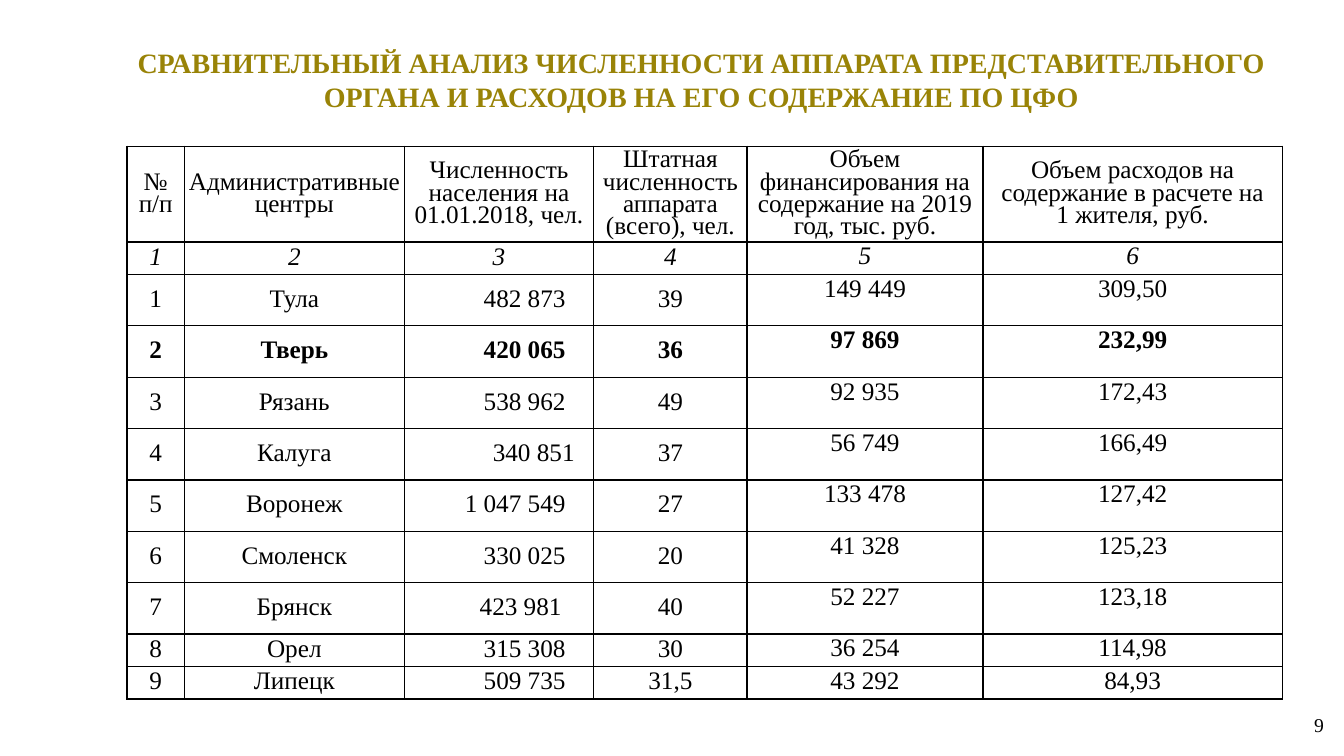
from lxml import etree
from pptx import Presentation
from pptx.dml.color import RGBColor
from pptx.enum.text import MSO_ANCHOR, PP_ALIGN
from pptx.oxml.ns import qn
from pptx.util import Inches, Pt

CENTER, RIGHT = PP_ALIGN.CENTER, PP_ALIGN.RIGHT
TOP, MIDDLE = MSO_ANCHOR.TOP, MSO_ANCHOR.MIDDLE
FONT = "Times New Roman"
COLORS = {"title": "998307", "text": "000000", "border": "000000"}

TITLE = ("СРАВНИТЕЛЬНЫЙ АНАЛИЗ ЧИСЛЕННОСТИ АППАРАТА ПРЕДСТАВИТЕЛЬНОГО "
         "ОРГАНА И РАСХОДОВ НА ЕГО СОДЕРЖАНИЕ ПО ЦФО")
HEADERS = [
    "№ п/п",
    "Административные центры",
    "Численность населения на 01.01.2018, чел.",
    "Штатная численность аппарата\n(всего), чел.",
    "Объем финансирования на содержание на 2019 год, тыс. руб.",
    "Объем расходов на содержание в расчете на\n1 жителя, руб.",
]
CITIES = [
    ("Тула", "482 873", "39", "149 449", "309,50"),
    ("Тверь", "420 065", "36", "97 869", "232,99"),
    ("Рязань", "538 962", "49", "92 935", "172,43"),
    ("Калуга", "340 851", "37", "56 749", "166,49"),
    ("Воронеж", "1 047 549", "27", "133 478", "127,42"),
    ("Смоленск", "330 025", "20", "41 328", "125,23"),
    ("Брянск", "423 981", "40", "52 227", "123,18"),
    ("Орел", "315 308", "30", "36 254", "114,98"),
    ("Липецк", "509 735", "31,5", "43 292", "84,93"),
]
HIGHLIGHTED_CITY = "Тверь"
COL_WIDTHS = [0.57, 2.18, 1.88, 1.52, 2.34, 2.97]
ROW_HEIGHTS = [0.95, 0.32] + [0.51] * 7 + [0.32] * 2
POPULATION_COL, FIRST_MONEY_COL = 2, 4
POPULATION_INDENT = 0.28
SPECIAL_INDENTS = {"Калуга": 0.19, "Брянск": 0.32}


def style_paragraph(p, size, color, align, bold=False, italic=False):
    p.alignment = align
    f = p.font
    f.name, f.size, f.bold, f.italic = FONT, Pt(size), bold, italic
    f.color.rgb = RGBColor.from_string(COLORS[color])


def set_borders(cell):
    tc_pr = cell._tc.get_or_add_tcPr()
    for side in ("a:lnL", "a:lnR", "a:lnT", "a:lnB"):
        ln = etree.SubElement(tc_pr, qn(side), w=str(Pt(1)))
        fill = etree.SubElement(ln, qn("a:solidFill"))
        etree.SubElement(fill, qn("a:srgbClr"), val=COLORS["border"])


def fill_cell(cell, text, align=CENTER, right=0.01, roomy=False, **emphasis):
    """Write one cell; a roomy cell has wide margins and text at its top."""
    set_borders(cell)
    cell.fill.background()
    cell.vertical_anchor = TOP if roomy else MIDDLE
    cell.margin_left = Inches(0.1 if roomy else 0.01)
    cell.margin_right = Inches(0.1 if roomy else right)
    cell.margin_top = Inches(0.05 if roomy else 0.01)
    cell.margin_bottom = Inches(0.05 if roomy else 0)
    cell.text = text
    for p in cell.text_frame.paragraphs:
        p.line_spacing = 0.8
        style_paragraph(p, 18, "text", align, **emphasis)


def add_title(s, left, top, width, height):
    sp = s.shapes.title
    sp.left, sp.top, sp.width, sp.height = map(Inches, (left, top, width, height))
    tf = sp.text_frame
    tf.text = TITLE
    tf.word_wrap = True
    tf.vertical_anchor = MIDDLE
    style_paragraph(tf.paragraphs[0], 20, "title", CENTER, bold=True)


def add_city_table(s, left, top):
    table = s.shapes.add_table(
        len(ROW_HEIGHTS), len(COL_WIDTHS), Inches(left), Inches(top),
        Inches(sum(COL_WIDTHS)), Inches(sum(ROW_HEIGHTS))).table
    table.first_row = table.horz_banding = False
    for column, width in zip(table.columns, COL_WIDTHS):
        column.width = Inches(width)
    for row, height in zip(table.rows, ROW_HEIGHTS):
        row.height = Inches(height)

    for c, header in enumerate(HEADERS):
        fill_cell(table.cell(0, c), header)
        fill_cell(table.cell(1, c), str(c + 1), roomy=c >= FIRST_MONEY_COL, italic=True)
    for number, city in enumerate(CITIES, 1):
        name = city[0]
        bold = name == HIGHLIGHTED_CITY
        for c, text in enumerate((str(number), *city)):
            cell = table.cell(number + 1, c)
            if c == POPULATION_COL:
                indent = SPECIAL_INDENTS.get(name, POPULATION_INDENT)
                fill_cell(cell, text, RIGHT, indent, bold=bold)
            else:
                fill_cell(cell, text, roomy=c >= FIRST_MONEY_COL, bold=bold)


def add_page_number(s, left, top, width, height):
    tf = s.shapes.add_textbox(*map(Inches, (left, top, width, height))).text_frame
    tf.word_wrap = True
    tf.text = "9"
    style_paragraph(tf.paragraphs[0], 14, "text", RIGHT)


def main():
    prs = Presentation()
    prs.slide_width, prs.slide_height = Inches(13.33), Inches(7.5)
    s = prs.slides.add_slide(prs.slide_layouts[5])
    add_title(s, 1.18, 0.42, 11.55, 0.73)
    add_city_table(s, 1.26, 1.45)
    add_page_number(s, 10.9, 7.02, 2.33, 0.4)
    prs.save("out.pptx")


if __name__ == "__main__":
    main()
